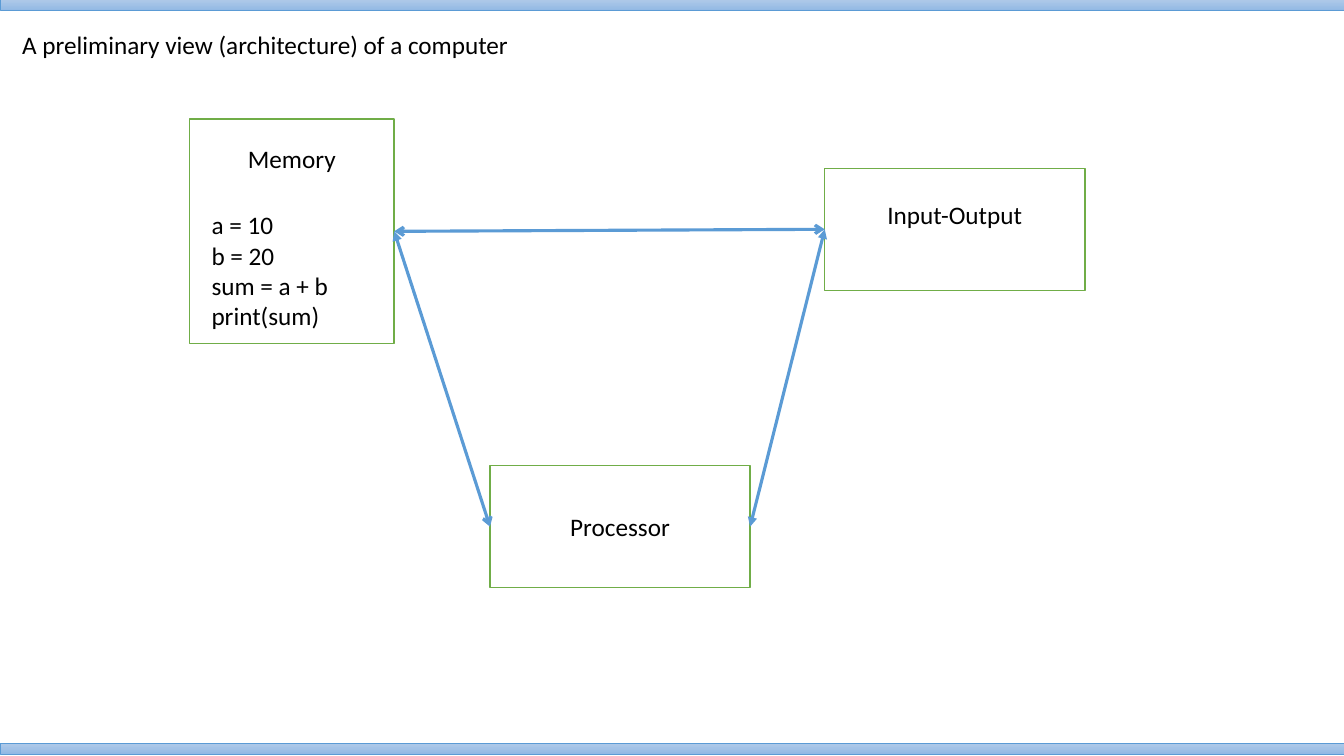
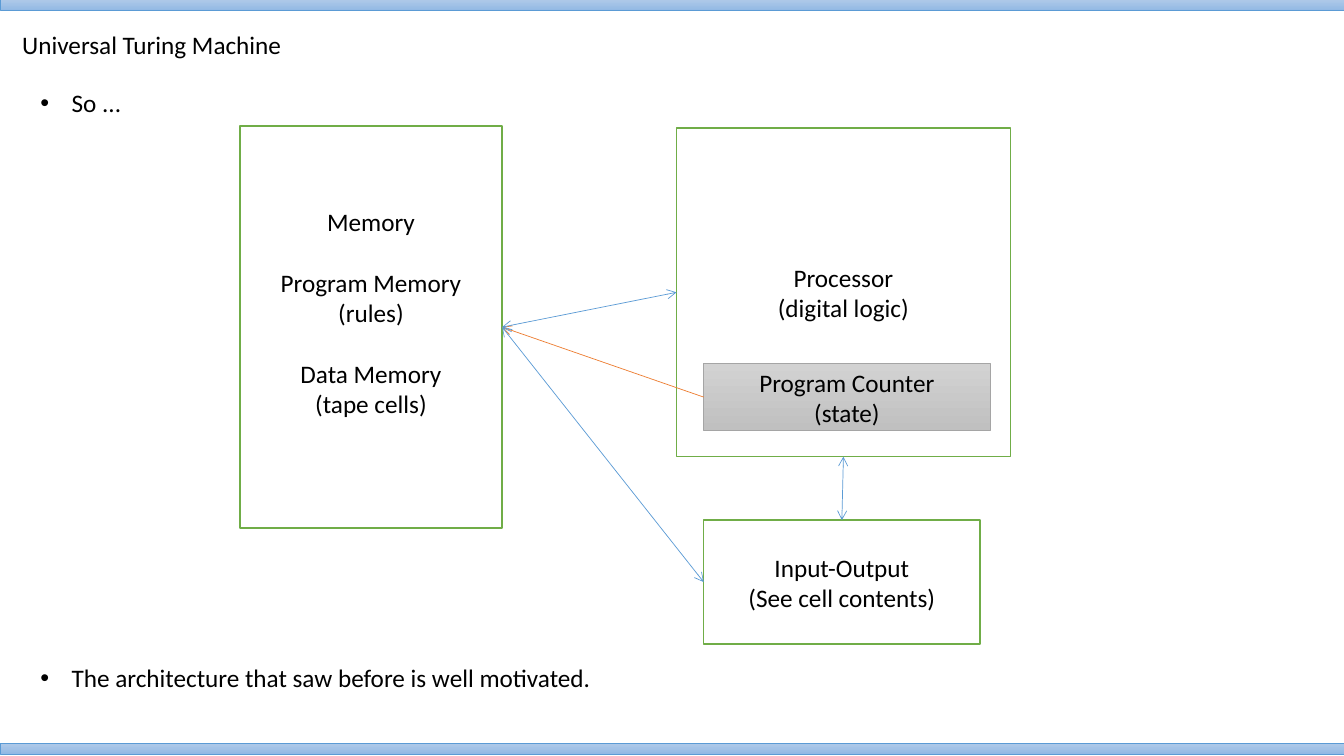
"""Build two slides on the architecture of a computer."""
from lxml.etree import SubElement
from pptx import Presentation
from pptx.dml.color import RGBColor
from pptx.enum.shapes import MSO_CONNECTOR, MSO_SHAPE
from pptx.enum.text import MSO_ANCHOR, MSO_AUTO_SIZE, PP_ALIGN
from pptx.oxml.ns import qn
from pptx.util import Inches, Pt

COLORS = {
    "text": "000000", "paper": "FFFFFF", "green": "70AD47", "blue": "5B9BD5",
    "orange": "ED7D31", "gray": "A5A5A5", "band_top": "B1CBE9",
    "band_bottom": "93B9E4", "counter_top": "D2D2D2", "counter_bottom": "C0C0C0",
}
FONT, SIZE = "Calibri", Pt(18)
LINE_GAP = Pt(22)
BULLET_GAP = Pt(389)
BULLET_INDENT = Inches(0.31)
INSET, LIFT_STEP = 0.05, 0.29
BAND_TOPS = (-0.01, 7.37)
TITLE_AT = (0.12, 0.24, 12.28, 0.42)
BODY_AT = (0.3, 0.82, 12.75, 6.12)
PROGRAM_AT = (2, 2.03, 1.7, 1.32)
SITES = {"top": 0, "left": 1, "bottom": 2, "right": 3}
PLAIN = (("paper",), "green", 1)
SHADED = (("counter_top", "counter_bottom"), "gray", 0.5)
BAND = (("band_top", "band_bottom"), "blue", 0.5)

# Each box: position, groups of lines, lines lifted above the middle, style.
OVERVIEW = {
    "title": "A preliminary view (architecture) of a computer",
    "program": ["a = 10", "b = 20", "sum = a + b", "print(sum)"],
    "boxes": {
        "memory": ((1.88, 1.18, 2.03, 2.23), [["Memory"]], 5, PLAIN),
        "processor": ((4.86, 4.62, 2.58, 1.21), [["Processor"]], 0, PLAIN),
        "io": ((8.18, 1.67, 2.58, 1.21), [["Input-Output"]], 1, PLAIN),
    },
    "links": [
        ("memory", "right", "processor", "left", "blue", 2.25, "triangle", "arrow"),
        ("processor", "right", "io", "left", "blue", 2.25, "triangle", "triangle"),
        ("memory", "right", "io", "left", "blue", 2.25, "arrow", "arrow"),
    ],
}
TURING = {
    "title": "Universal Turing Machine",
    "bullets": ["So ...", "The architecture that saw before is well motivated."],
    "boxes": {
        "memory": ((2.38, 1.25, 2.6, 3.99),
                   [["Memory"], ["Program Memory", "(rules)"],
                    ["Data Memory", "(tape cells)"]], 1, PLAIN),
        "processor": ((6.71, 1.27, 3.31, 3.26),
                      [["Processor", "(digital logic)"]], 0, PLAIN),
        "io": ((6.98, 5.16, 2.74, 1.23),
               [["Input-Output", "(See cell contents)"]], 0, PLAIN),
        "counter": ((6.98, 3.61, 2.84, 0.66),
                    [["Program Counter", "(state)"]], 0, SHADED),
    },
    "links": [
        ("counter", "left", "memory", "right", "orange", 0.5, None, "arrow"),
        ("memory", "right", "processor", "left", "blue", 0.5, "arrow", "arrow"),
        ("memory", "right", "io", "left", "blue", 0.5, "arrow", "arrow"),
        ("processor", "bottom", "io", "top", "blue", 0.5, "arrow", "arrow"),
    ],
}


def rgb(name):
    return RGBColor.from_string(COLORS[name])


def inches(position):
    return [Inches(value) for value in position]


def write(frame, groups, align=PP_ALIGN.LEFT, anchor=MSO_ANCHOR.TOP, gap=LINE_GAP):
    """Write groups of lines, with a gap before each group but the first."""
    frame.word_wrap = True
    frame.auto_size = MSO_AUTO_SIZE.NONE
    frame.vertical_anchor = anchor
    frame.text = "\n".join(line for group in groups for line in group)
    starts = [number == 0 for group in groups for number in range(len(group))]
    for index, (paragraph, starts_group) in enumerate(zip(frame.paragraphs, starts)):
        paragraph.alignment = align
        paragraph.space_before = gap if index and starts_group else Pt(0)
        paragraph.font.name = FONT
        paragraph.font.size = SIZE
        paragraph.font.color.rgb = rgb("text")


def fill_placeholder(placeholder, position, groups, gap=LINE_GAP):
    placeholder.left, placeholder.top, placeholder.width, placeholder.height = inches(position)
    write(placeholder.text_frame, groups, gap=gap)


def add_panel(slide, position, style):
    fills, outline, weight = style
    panel = slide.shapes.add_shape(MSO_SHAPE.RECTANGLE, *inches(position))
    panel.shadow.inherit = False
    if len(fills) == 1:
        panel.fill.solid()
        panel.fill.fore_color.rgb = rgb(fills[0])
    else:
        panel.fill.gradient()
        panel.fill.gradient_angle = 270
        for stop, color in zip(panel.fill.gradient_stops, fills):
            stop.color.rgb = rgb(color)
    panel.line.color.rgb = rgb(outline)
    panel.line.width = Pt(weight)
    return panel


def add_box(slide, position, groups, lift, style):
    box = add_panel(slide, position, style)
    write(box.text_frame, groups, PP_ALIGN.CENTER, MSO_ANCHOR.MIDDLE)
    box.text_frame.margin_bottom = Inches(INSET + lift * LIFT_STEP)
    return box


def add_link(slide, boxes, link):
    start, start_side, end, end_side, color, weight, head, tail = link
    connector = slide.shapes.add_connector(MSO_CONNECTOR.STRAIGHT, 0, 0, 0, 0)
    connector.begin_connect(boxes[start], SITES[start_side])
    connector.end_connect(boxes[end], SITES[end_side])
    connector.line.color.rgb = rgb(color)
    connector.line.width = Pt(weight)
    properties = connector._element.spPr
    outline = properties.find(qn("a:ln"))
    for tag, kind in (("a:headEnd", head), ("a:tailEnd", tail)):
        if kind:
            SubElement(outline, qn(tag), type=kind)
    SubElement(properties, qn("a:effectLst"))


def add_slide(deck, content):
    bullets = content.get("bullets")
    slide = deck.slides.add_slide(deck.slide_layouts[1 if bullets else 5])
    fill_placeholder(slide.shapes.title, TITLE_AT, [[content["title"]]])
    if bullets:
        body = slide.placeholders[1]
        fill_placeholder(body, BODY_AT, [[bullet] for bullet in bullets], BULLET_GAP)
        for paragraph in body.text_frame.paragraphs:
            properties = paragraph._p.get_or_add_pPr()
            properties.set("marL", str(BULLET_INDENT))
            properties.set("indent", str(-BULLET_INDENT))
    for top in BAND_TOPS:
        add_panel(slide, (0, top, 13.33, 0.11), BAND)
    boxes = {name: add_box(slide, *box) for name, box in content["boxes"].items()}
    if "program" in content:
        program = slide.shapes.add_textbox(*inches(PROGRAM_AT))
        write(program.text_frame, [content["program"]])
    for link in content["links"]:
        add_link(slide, boxes, link)


def main():
    deck = Presentation()
    deck.slide_width, deck.slide_height = Inches(13.33), Inches(7.5)
    for content in (OVERVIEW, TURING):
        add_slide(deck, content)
    deck.save("out.pptx")


if __name__ == "__main__":
    main()
